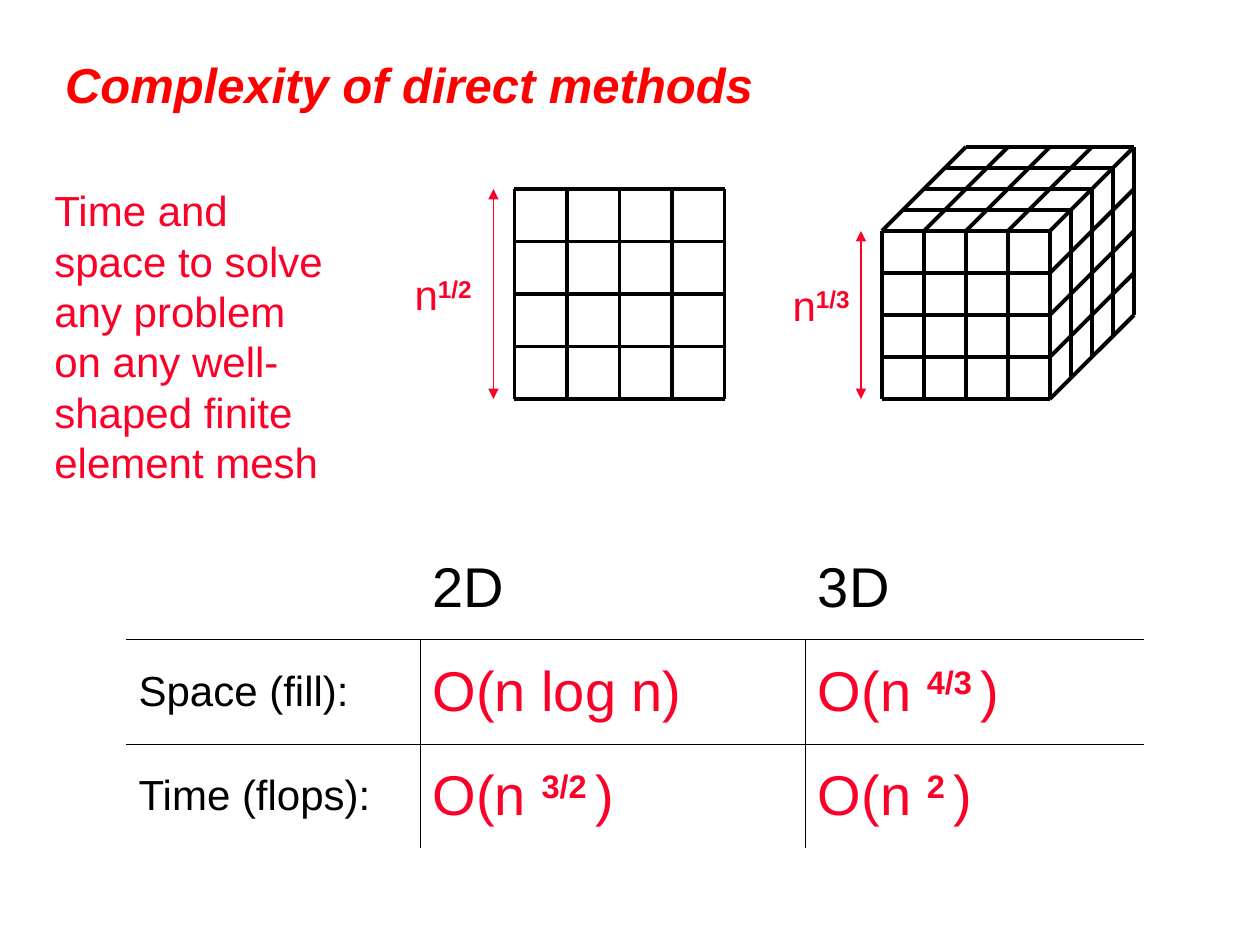
from pptx import Presentation
from pptx.dml.color import RGBColor
from pptx.enum.shapes import MSO_CONNECTOR
from pptx.enum.text import MSO_ANCHOR, MSO_AUTO_SIZE, PP_ALIGN
from pptx.oxml.ns import qn
from pptx.util import Inches, Pt
from lxml.etree import SubElement

HUES = {"title": "FF0000", "ink": "000000", "note": "FC0128"}
FONT = "Arial"
CELLS = 4  # mesh cells along each edge


def grid(n):
    """Length of n grid units; the slide is 120 columns by 90 rows."""
    return Inches(n / 12)


def box(*units):
    return [grid(n) for n in units]


def write(para, text, size, hue, bold=False, slant=False, sup=False):
    run = para.add_run()
    run.text = text
    font = run.font
    font.name, font.size = FONT, Pt(size)
    font.bold, font.italic = bold, slant
    font.color.rgb = RGBColor.from_string(HUES[hue])
    if sup:
        run._r.get_or_add_rPr().set("baseline", "30000")


def power(para, parts, size, hue):
    """Write parts in turn; every second one is a bold superscript."""
    for i, part in enumerate(parts):
        raised = i % 2 == 1
        write(para, part, size, hue, bold=raised, sup=raised)


def line(shapes, start, end, hue="ink", width=2.25, heads=False):
    link = shapes.add_connector(MSO_CONNECTOR.STRAIGHT, *box(*start, *end))
    link.line.color.rgb = RGBColor.from_string(HUES[hue])
    link.line.width = Pt(width)
    if heads:
        for tag in ("a:headEnd", "a:tailEnd"):
            SubElement(link.line._get_or_add_ln(), qn(tag), type="triangle")
    SubElement(link._element.spPr, qn("a:effectLst"))


def mesh(start, u, v):
    """Give the ends of the grid lines on the face spanned by u and v."""
    for along, side in ((u, v), (v, u)):
        for i in range(CELLS + 1):
            x, y = (s + d * i / CELLS for s, d in zip(start, side))
            yield (x, y), (x + along[0], y + along[1])


def label(shapes, area, parts, wrap=False):
    text = shapes.add_textbox(*box(*area)).text_frame
    text.word_wrap = wrap
    text.auto_size = MSO_AUTO_SIZE.SHAPE_TO_FIT_TEXT
    power(text.paragraphs[0], parts, 24, "note")


def model(slide, faces, arrow, area, parts):
    """Group a mesh with its edge arrow and edge length."""
    shapes = slide.shapes.add_group_shape().shapes
    # Edges shared by two faces are drawn once
    ends = dict.fromkeys(pair for face in faces for pair in mesh(*face))
    for start, end in ends:
        line(shapes, start, end)
    line(shapes, *arrow, hue="note", width=1, heads=True)
    label(shapes, area, parts)


def border(cell, edges):
    """Rule the inner edges and clear the outer ones."""
    props = cell._tc.get_or_add_tcPr()
    for side in "LRTB":
        rule = SubElement(props, qn("a:ln" + side), w=str(Pt(0.45)))
        if side in edges:
            fill = SubElement(rule, qn("a:solidFill"))
            SubElement(fill, qn("a:srgbClr"), val=HUES["ink"])
        else:
            SubElement(rule, qn("a:noFill"))


def costs(slide, area, widths, rows):
    table = slide.shapes.add_table(len(rows), len(widths), *box(*area)).table
    table.first_row = table.horz_banding = False
    for col, width in zip(table.columns, widths):
        col.width = grid(width)
    for r, row in enumerate(rows):
        table.rows[r].height = grid(area[3] / len(rows))
        for c, parts in enumerate(row):
            cell = table.cell(r, c)
            edges = "T" if r else ""
            if r < len(rows) - 1:
                edges += "B"
            if r and c:
                edges += "L"
            if r and c < len(widths) - 1:
                edges += "R"
            border(cell, edges)
            cell.fill.background()
            cell.vertical_anchor = MSO_ANCHOR.MIDDLE
            power(cell.text_frame.paragraphs[0], parts,
                  32 if c else 24, "note" if r and c else "ink")


def main():
    deck = Presentation()
    deck.slide_width, deck.slide_height = box(120, 90)
    slide = deck.slides.add_slide(deck.slide_layouts[5])

    # Title
    title = slide.shapes.title
    title.left, title.top, title.width, title.height = box(5, 4, 112, 8)
    title.text_frame.vertical_anchor = MSO_ANCHOR.MIDDLE
    para = title.text_frame.paragraphs[0]
    para.alignment = PP_ALIGN.LEFT
    write(para, "Complexity of direct methods", 28, "title", True, True)

    # Square mesh
    model(slide, [((49, 18), (20, 0), (0, 20))],
          ((47, 38), (47, 18)), (38.3, 25, 8.2, 6), ["n", "1/2"])

    # Cube mesh: front, top and right faces
    wide, tall, deep = (16, 0), (0, 16), (8, -8)
    near, far = (84, 22), (100, 22)
    model(slide, [(near, wide, tall), (near, wide, deep), (far, deep, tall)],
          ((82, 38), (82, 22)), (74.3, 26, 8.2, 6), ["n", "1/3"])

    # Cost table
    costs(slide, (12, 51, 97, 29.8), (28, 36.7, 32.3), [
        [[], ["2D"], ["3D"]],
        [["Space (fill):"], ["O(n log n)"], ["O(n ", "4/3 ", ")"]],
        [["Time (flops):"], ["O(n ", "3/2 ", ")"], ["O(n ", "2 ", ")"]],
    ])

    # Problem statement
    label(slide.shapes, (4, 17, 29, 30),
          ["Time and space to solve any problem on any "
           "well-shaped finite element mesh"], wrap=True)

    deck.save("out.pptx")


if __name__ == "__main__":
    main()
